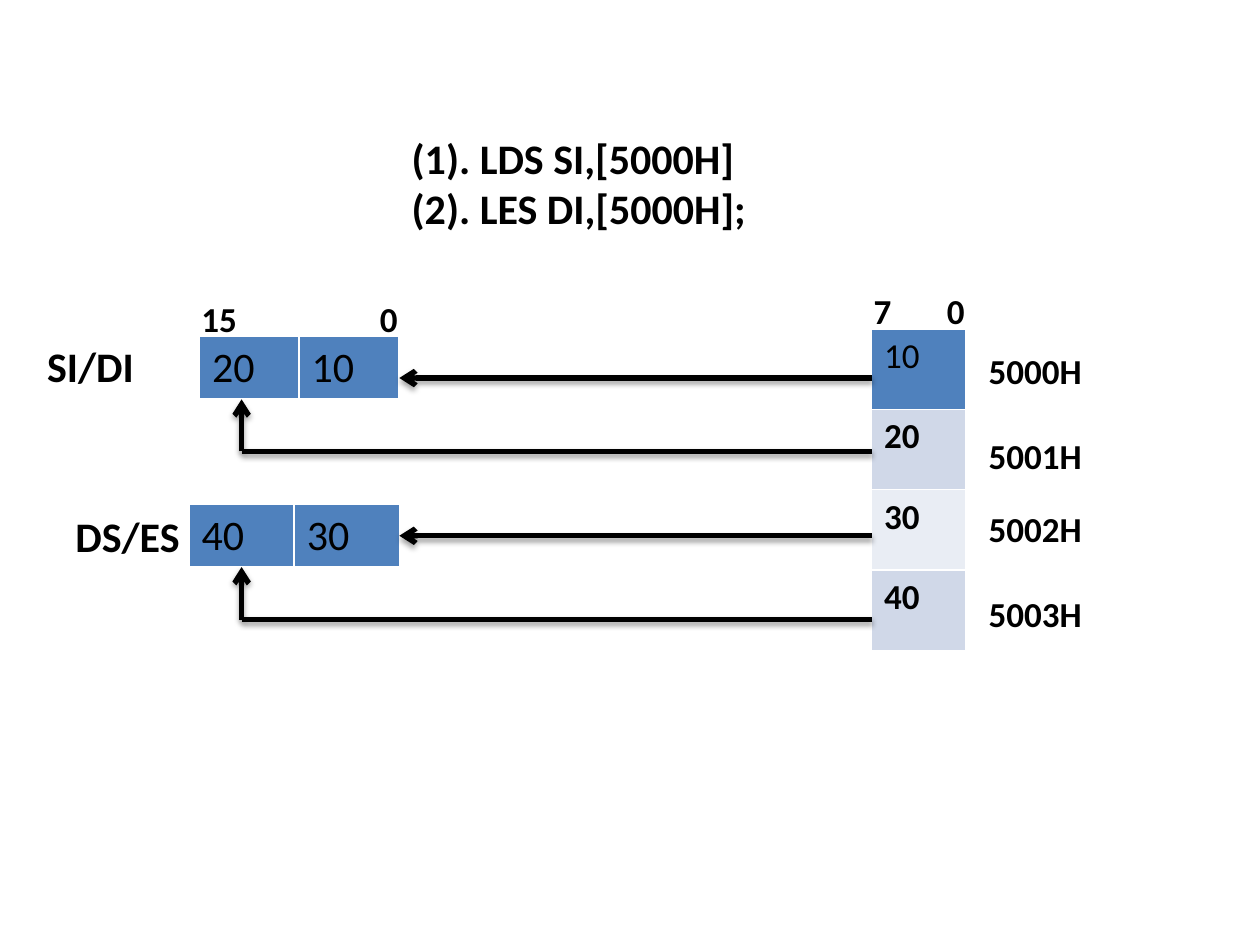
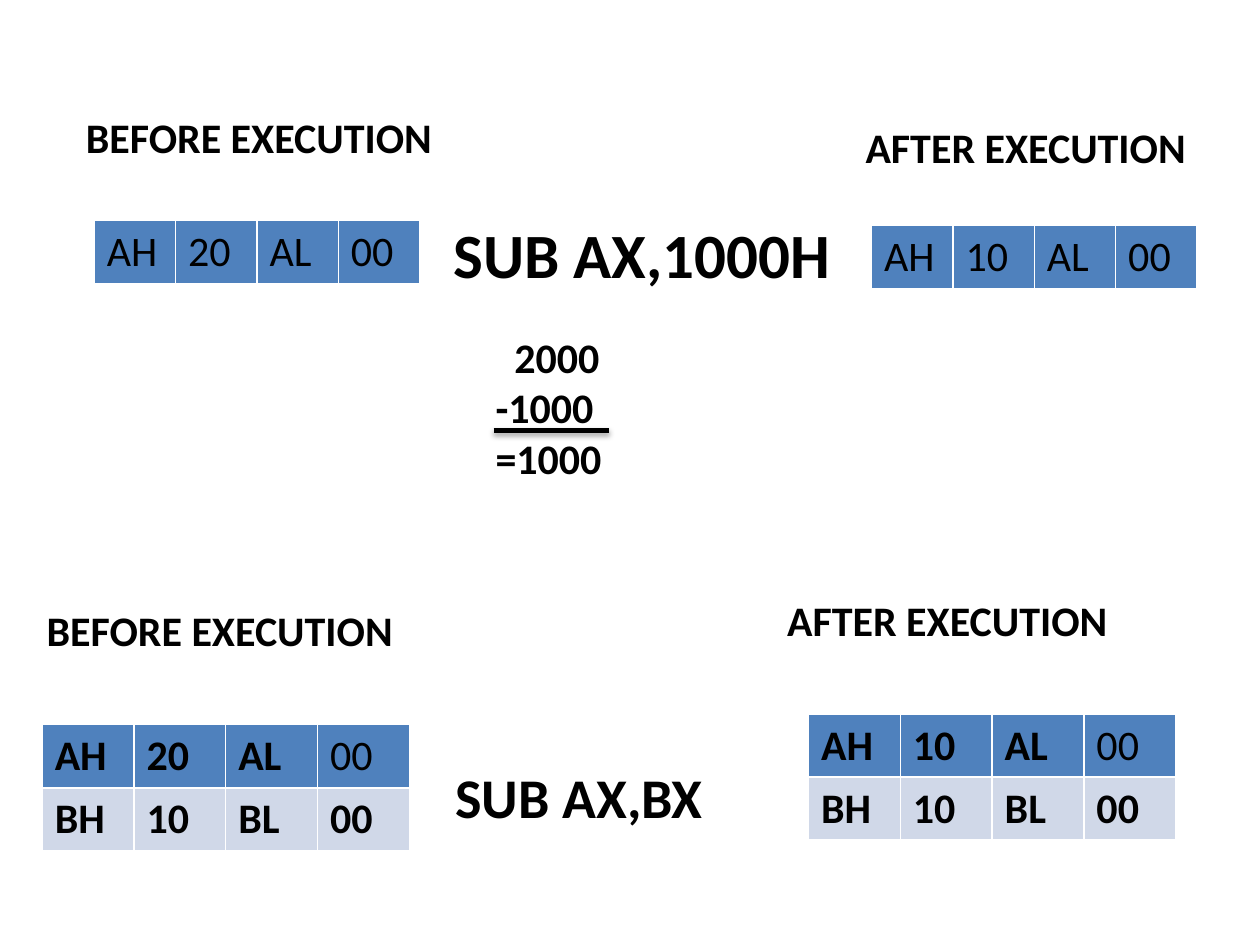
"""Build two slides on processor pointer-load and subtract instructions."""
from dataclasses import dataclass

from lxml.etree import SubElement
from pptx import Presentation
from pptx.dml.color import RGBColor
from pptx.enum.shapes import MSO_CONNECTOR
from pptx.enum.text import MSO_AUTO_SIZE
from pptx.oxml import parse_xml
from pptx.oxml.ns import nsdecls, qn
from pptx.util import Cm, Pt


@dataclass(frozen=True)
class Theme:
    """Colours, font and type sizes shared by the slides."""
    font: str = "Calibri"
    ink: RGBColor = RGBColor(0x00, 0x00, 0x00)
    header: RGBColor = RGBColor(0x4F, 0x81, 0xBD)
    bands: tuple = (RGBColor(0xD0, 0xD8, 0xE8), RGBColor(0xE9, 0xED, 0xF4))
    small: int = 20
    body: int = 24
    medium: int = 32
    large: int = 36
    stroke: int = 3


THEME = Theme()
ROW = 1.27
SHADOW = (
    f'<a:effectLst {nsdecls("a")}><a:outerShdw blurRad="{Pt(3.1)}" dist="{Pt(1.8)}" '
    'dir="5400000" rotWithShape="0"><a:srgbClr val="000000"><a:alpha val="35000"/>'
    '</a:srgbClr></a:outerShdw></a:effectLst>'
)


def add_run(p, text, size, bold):
    """Add one styled run to a paragraph."""
    r = p.add_run()
    r.text = text
    r.font.name = THEME.font
    r.font.size = Pt(size)
    r.font.bold = bold
    r.font.color.rgb = THEME.ink


def add_label(s, x, y, w, lines, size=THEME.body, first_indent=0):
    """Add a bold text box with one paragraph per line."""
    height = len(lines) * size * 0.042 + 0.25
    tf = s.shapes.add_textbox(Cm(x), Cm(y), Cm(w), Cm(height)).text_frame
    tf.word_wrap = True
    tf.auto_size = MSO_AUTO_SIZE.SHAPE_TO_FIT_TEXT
    for i, line in enumerate(lines):
        p = tf.add_paragraph() if i else tf.paragraphs[0]
        if first_indent and i == 0:
            p._p.get_or_add_pPr().set("marL", str(Cm(first_indent)))
        add_run(p, line, size, True)


def add_cells(s, x, y, col, rows, row=ROW, size=THEME.body, plain=1):
    """Add a register or memory table whose last `plain` header cells are not bold."""
    n = len(rows[0])
    table = s.shapes.add_table(
        len(rows), n, Cm(x), Cm(y), Cm(col * n), Cm(row * len(rows))).table
    for i, values in enumerate(rows):
        fill = THEME.bands[(i - 1) % 2] if i else THEME.header
        for j, value in enumerate(values):
            cell = table.cell(i, j)
            cell.fill.solid()
            cell.fill.fore_color.rgb = fill
            add_run(cell.text_frame.paragraphs[0], value, size, i > 0 or j < n - plain)


def add_line(s, start, end, arrow=False):
    """Add a shadowed straight line, with an arrowhead at its end if asked."""
    line = s.shapes.add_connector(
        MSO_CONNECTOR.STRAIGHT, *(Cm(v) for v in (*start, *end)))
    line.line.color.rgb = THEME.ink
    line.line.width = Pt(THEME.stroke)
    if arrow:
        SubElement(line.line._get_or_add_ln(), qn("a:tailEnd"), type="arrow")
    line._element.spPr.append(parse_xml(SHADOW))


def add_byte_moves(s, low_y, high_y, register_bottom):
    """Draw the low-byte and high-byte paths from memory to a register."""
    memory_x, register_x, high_x = 17.57, 8.05, 4.87
    add_line(s, (memory_x, low_y), (register_x, low_y), arrow=True)
    add_line(s, (high_x, high_y), (memory_x, high_y))
    add_line(s, (high_x, high_y), (high_x, register_bottom), arrow=True)


def build_pointer_load(s):
    """Show LDS and LES loading two registers from memory."""
    add_cells(s, 17.57, 6.63, 1.9, [["10"], ["20"], ["30"], ["40"]],
              row=1.62, size=THEME.small)
    addresses = ("5000H", 6.93), ("5001H", 8.64), ("5002H", 10.11), ("5003H", 11.81)
    for address, y in addresses:
        add_label(s, 19.68, y, 3.18, [address], THEME.small)
    add_cells(s, 4.02, 6.77, 2.01, [["20", "10"]], plain=2)
    add_cells(s, 3.81, 10.16, 2.12, [["40", "30"]], plain=2)
    add_byte_moves(s, 7.62, 9.1, 8.05)
    add_byte_moves(s, 10.8, 12.49, 11.43)
    add_label(s, 8.05, 2.54, 12.7, ["(1). LDS SI,[5000H]", "(2). LES DI,[5000H];"])
    add_label(s, 0.7, 6.73, 3.18, ["SI/DI"])
    add_label(s, 1.27, 10.16, 3.18, ["DS/ES"])
    bits = ("0", 18.84, 5.72), ("7", 17.36, 5.72), ("0", 7.41, 5.87), ("15", 3.81, 5.87)
    for bit, x, y in bits:
        add_label(s, x, y, 1.5, [bit], THEME.small)


def build_subtract(s):
    """Show registers before and after two SUB instructions."""
    captions = (("BEFORE EXECUTION", 1.48, 2.12), ("AFTER EXECUTION", 17.2, 2.33),
                ("BEFORE EXECUTION", 0.69, 12.07), ("AFTER EXECUTION", 15.62, 11.86))
    for caption, x, y in captions:
        add_label(s, x, y, 7.8, [caption])
    add_label(s, 8.89, 4.23, 8.89, ["SUB AX,1000H"], THEME.large)
    add_label(s, 8.93, 15.24, 6.76, ["SUB AX,BX"], THEME.medium)
    for x, y, high in ((1.9, 4.45, "20"), (17.57, 4.55, "10")):
        add_cells(s, x, y, 1.64, [["AH", high, "AL", "00"]], plain=4)
    add_label(s, 9.74, 6.56, 6.99, ["2000", "-1000", "=1000"], first_indent=0.38)
    add_line(s, (9.95, 8.68), (12.28, 8.68))
    for x, y, high in ((0.85, 14.61, "20"), (16.3, 14.39, "10")):
        add_cells(s, x, y, 1.85, [["AH", high, "AL", "00"], ["BH", "10", "BL", "00"]])


def main():
    """Create the deck and save it."""
    prs = Presentation()
    prs.slide_width, prs.slide_height = Cm(25.4), Cm(19.05)
    for build in (build_pointer_load, build_subtract):
        build(prs.slides.add_slide(prs.slide_layouts[6]))
    prs.save("out.pptx")


if __name__ == "__main__":
    main()
